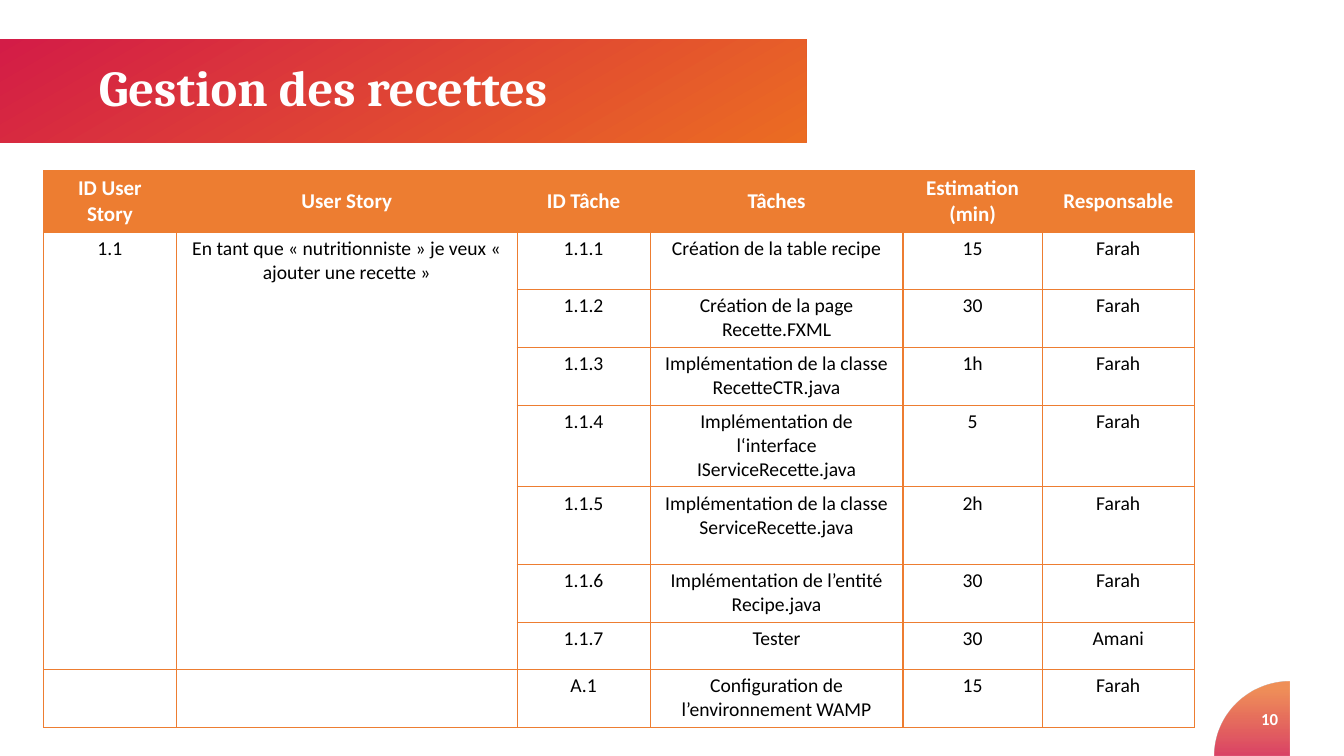
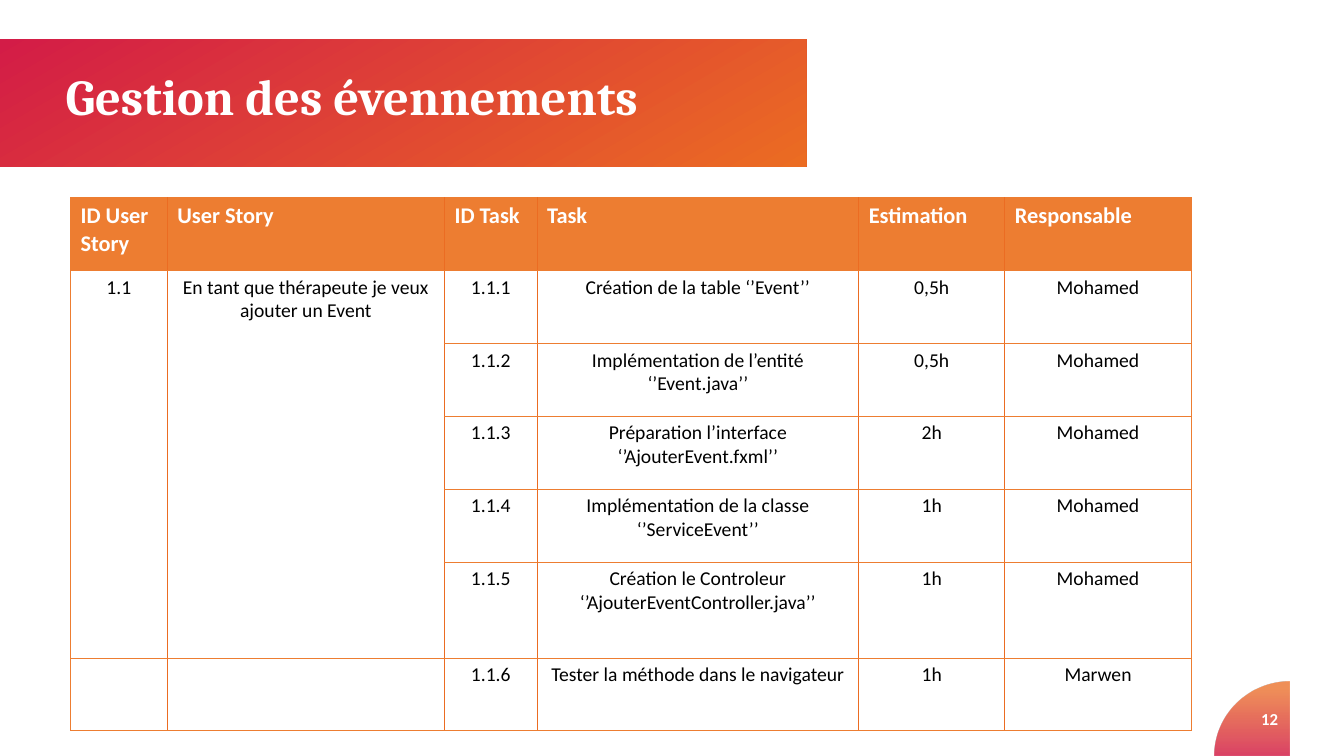
from dataclasses import dataclass
from math import cos, pi, sin

from lxml import etree
from pptx import Presentation
from pptx.dml.color import RGBColor
from pptx.enum.shapes import MSO_SHAPE
from pptx.enum.text import MSO_ANCHOR, MSO_AUTO_SIZE, PP_ALIGN
from pptx.oxml.ns import qn
from pptx.util import Pt

LEFT, CENTER, RIGHT = PP_ALIGN.LEFT, PP_ALIGN.CENTER, PP_ALIGN.RIGHT
TOP, MIDDLE = MSO_ANCHOR.TOP, MSO_ANCHOR.MIDDLE


@dataclass(frozen=True)
class Theme:
    crimson: str = "D31C47"
    ember: str = "EB6C22"
    orange: str = "ED7D31"
    white: str = "FFFFFF"
    black: str = "000000"
    title_font: str = "Cambria"
    body_font: str = "Calibri"
    title_size: int = 36
    body_size: int = 14
    number_size: int = 12


theme = Theme()

# Content of the two slides
backlogs = [
    {
        "title": "Gestion des recettes",
        "number": "10",
        "band_height": 73.4,
        "title_at": (70.6, 44.6),
        "table_at": (31, 121.7),
        "columns": [95, 243.4, 95, 180.7, 99.4, 108.7],
        "heights": [41.8, 41, 39.6, 41, 56.2, 55.4, 39.6, 33.8, 39.6],
        "header_style": (15, CENTER, MIDDLE),
        "divider": theme.orange,
        "header": ["ID User Story", "User Story", "ID Tâche", "Tâches",
                   "Estimation (min)", "Responsable"],
        "story": ["1.1", "En tant que « nutritionniste » je veux « ajouter une recette »"],
        "tasks": [
            ("1.1.1", "Création de la table recipe", "15", "Farah"),
            ("1.1.2", "Création de la page Recette.FXML", "30", "Farah"),
            ("1.1.3", "Implémentation de la classe RecetteCTR.java", "1h", "Farah"),
            ("1.1.4", "Implémentation de l‘interface IServiceRecette.java", "5", "Farah"),
            ("1.1.5", "Implémentation de la classe ServiceRecette.java", "2h", "Farah"),
            ("1.1.6", "Implémentation de l’entité Recipe.java", "30", "Farah"),
            ("1.1.7", "Tester", "30", "Amani"),
            ("A.1", "Configuration de l’environnement WAMP", "15", "Farah"),
        ],
    },
    {
        "title": "Gestion des évennements",
        "number": "12",
        "band_height": 90.7,
        "title_at": (46.8, 51.1),
        "table_at": (50.4, 141.1),
        "columns": [69.1, 198, 66.2, 229.7, 104.4, 133.2],
        "heights": [52.1] * 5 + [68.4, 52.1],
        "header_style": (16, LEFT, TOP),
        "divider": theme.ember,
        "header": ["ID User Story", "User Story", "ID Task", "Task",
                   "Estimation", "Responsable"],
        "story": ["1.1", "En tant que thérapeute je veux ajouter un Event"],
        "tasks": [
            ("1.1.1", "Création de la table ‘’Event’’", "0,5h", "Mohamed"),
            ("1.1.2", "Implémentation de l’entité ‘’Event.java’’", "0,5h", "Mohamed"),
            ("1.1.3", "Préparation l’interface ‘’AjouterEvent.fxml’’", "2h", "Mohamed"),
            ("1.1.4", "Implémentation de la classe ‘’ServiceEvent’’", "1h", "Mohamed"),
            ("1.1.5", "Création le Controleur ‘’AjouterEventController.java’’", "1h", "Mohamed"),
            ("1.1.6", "Tester la méthode dans le navigateur", "1h", "Marwen"),
        ],
    },
]


def paint_gradient(shape, angle, end, opacities=()):
    """Crimson to ember, without outline or shadow."""
    shape.shadow.inherit = False
    shape.line.fill.background()
    shape.fill.gradient()
    shape.fill.gradient_angle = angle
    stops = zip(shape.fill.gradient_stops, (theme.crimson, theme.ember), (0, end))
    for stop, color, position in stops:
        stop.color.rgb = RGBColor.from_string(color)
        stop.position = position
    for color, opacity in zip(shape.element.iter(qn("a:srgbClr")), opacities):
        etree.SubElement(color, qn("a:alpha"), val=str(opacity * 1000))


def write(frame, text, size, color, bold=False, align=LEFT, font=theme.body_font):
    frame.text = text
    paragraph = frame.paragraphs[0]
    paragraph.alignment = align
    paragraph.font.name = font
    paragraph.font.size = Pt(size)
    paragraph.font.bold = bold
    paragraph.font.color.rgb = RGBColor.from_string(color)


deck = Presentation()
deck.slide_width, deck.slide_height = Pt(960), Pt(540)
title_only = deck.slide_layouts[5]

for backlog in backlogs:
    slide = deck.slides.add_slide(title_only)

    # Quarter disc in the corner, with the page number
    radius, right, bottom, steps = 53.3, 920.9, 540, 32
    arc = [(Pt(right - radius * cos(pi / 2 * i / steps)),
            Pt(bottom - radius * sin(pi / 2 * i / steps))) for i in range(steps + 1)]
    outline = slide.shapes.build_freeform(*arc[0])
    outline.add_line_segments(arc[1:] + [(Pt(right), Pt(bottom))])
    paint_gradient(outline.convert_to_shape(), 90, 0.91, (83, 75))

    number = slide.shapes.add_textbox(Pt(883.4), Pt(499), Pt(36.7), Pt(28.8)).text_frame
    number.word_wrap = True
    number.vertical_anchor = MIDDLE
    write(number, backlog["number"], theme.number_size, theme.white, True, RIGHT)

    # Title on its band
    band = slide.shapes.add_shape(
        MSO_SHAPE.RECTANGLE, 0, Pt(28.1), Pt(576), Pt(backlog["band_height"]))
    paint_gradient(band, 300, 1)

    title = slide.shapes.title
    title.left, title.top = map(Pt, backlog["title_at"])
    title.width, title.height = Pt(502.6), Pt(39.6)
    heading = title.text_frame
    heading.margin_left = heading.margin_right = 0
    heading.margin_top = heading.margin_bottom = 0
    heading.vertical_anchor = MIDDLE
    heading.auto_size = MSO_AUTO_SIZE.NONE
    write(heading, backlog["title"], theme.title_size, theme.white, True,
          font=theme.title_font)
    heading.paragraphs[0].line_spacing = 0.9
    title.element.getparent().append(title.element)  # bring in front of the band

    # Backlog table: the story spans all its tasks but the last
    columns, heights, tasks = backlog["columns"], backlog["heights"], backlog["tasks"]
    rows = [backlog["header"]]
    for index, task in enumerate(tasks):
        rows.append((backlog["story"] if index == 0 else ["", ""]) + list(task))

    table = slide.shapes.add_table(
        len(rows), len(columns), *map(Pt, backlog["table_at"]),
        Pt(sum(columns)), Pt(sum(heights))).table
    table.horz_banding = False
    for column, width in zip(table.columns, columns):
        column.width = Pt(width)
    for row, height in zip(table.rows, heights):
        row.height = Pt(height)

    header_size, header_align, header_anchor = backlog["header_style"]
    last_column = len(columns) - 1
    for r, texts in enumerate(rows):
        for c, text in enumerate(texts):
            cell = table.cell(r, c)
            if r == 0:
                cell.fill.solid()
                cell.fill.fore_color.rgb = RGBColor.from_string(theme.orange)
                cell.vertical_anchor = header_anchor
                write(cell.text_frame, text, header_size, theme.white, True, header_align)
            else:
                cell.fill.background()
                if text:
                    write(cell.text_frame, text, theme.body_size, theme.black, align=CENTER)

            # Thin rules all round, stronger dividers between columns
            rule, divider = (theme.orange, 0.5), (backlog["divider"], 1)
            borders = {
                "a:lnL": rule if c == 0 else divider,
                "a:lnR": rule if c == last_column else divider,
                "a:lnT": rule,
                "a:lnB": rule,
            }
            properties = cell._tc.get_or_add_tcPr()
            for place, (tag, (color, width)) in enumerate(borders.items()):
                border = etree.Element(qn(tag), w=str(Pt(width)))
                fill = etree.SubElement(border, qn("a:solidFill"))
                etree.SubElement(fill, qn("a:srgbClr"), val=color)
                properties.insert(place, border)

    for c in range(2):
        table.cell(1, c).merge(table.cell(len(tasks) - 1, c))

deck.save("out.pptx")
